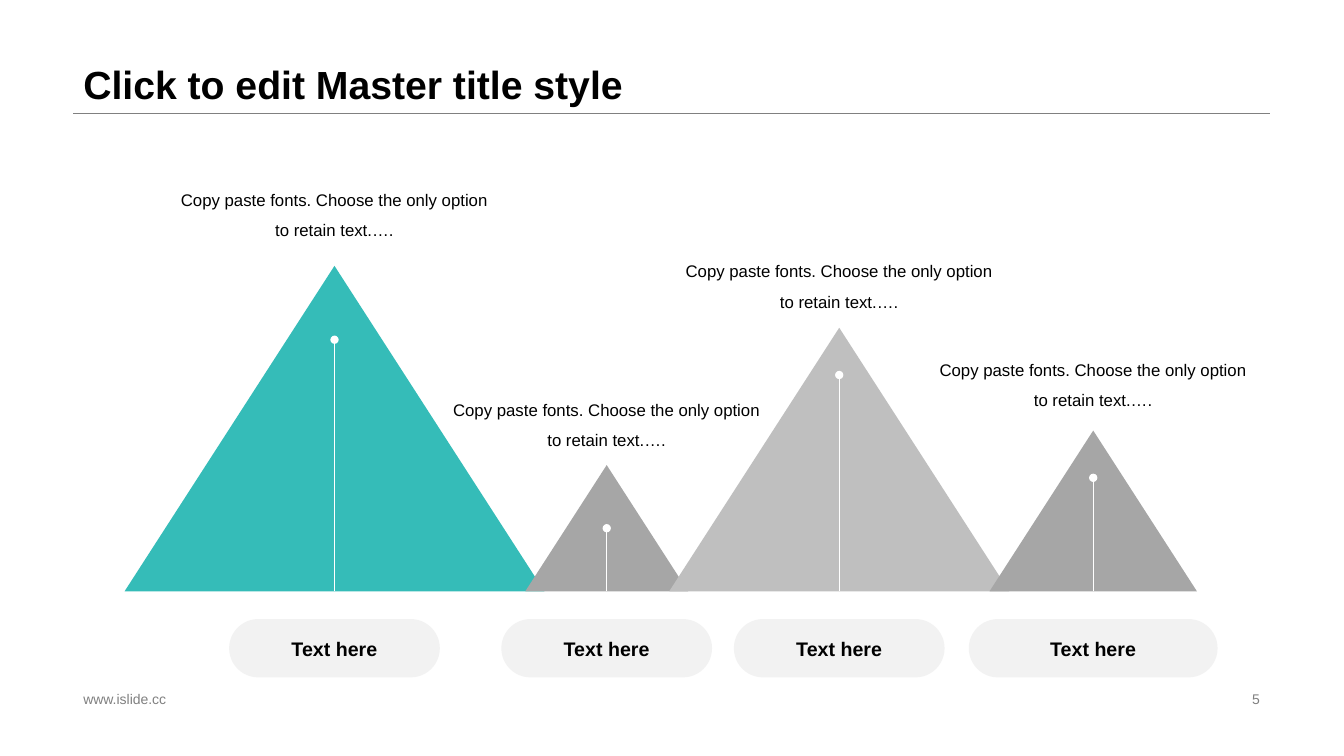
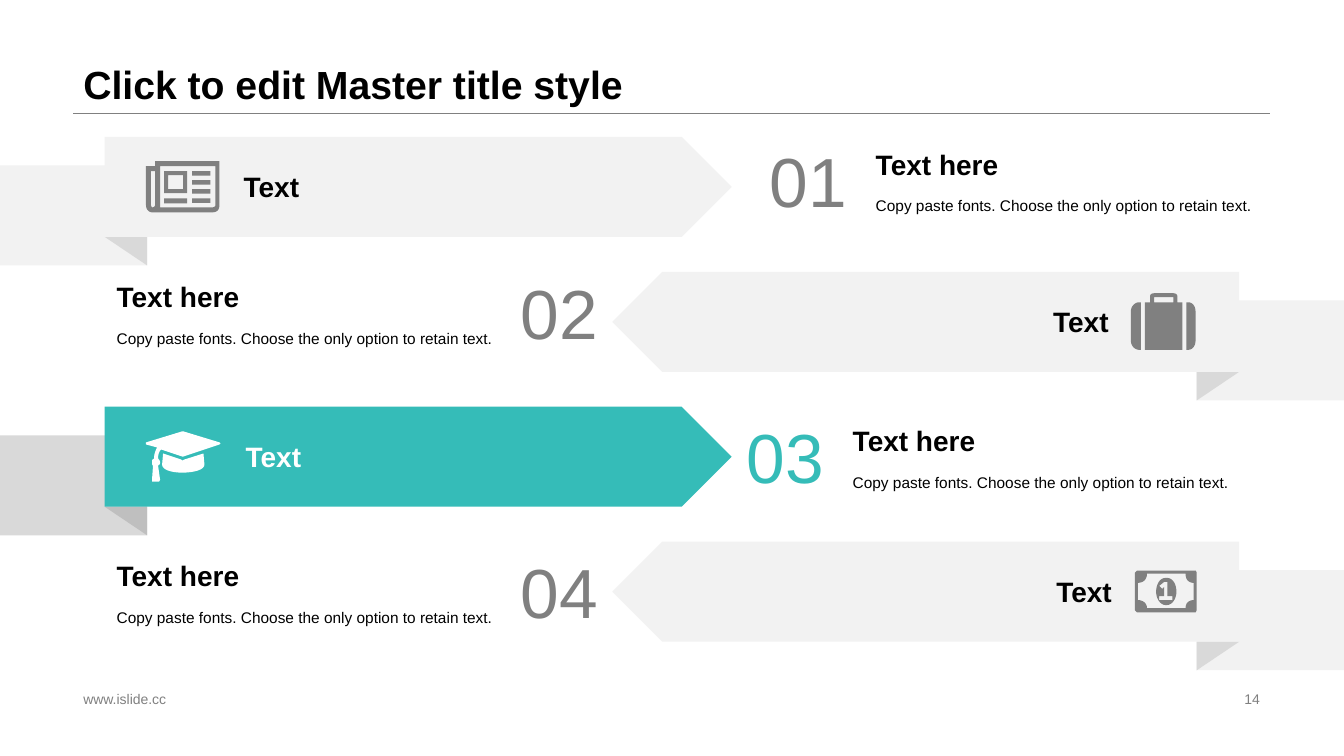
"""Build two slides: a mountain comparison and a set of folded banners."""
from dataclasses import dataclass
from itertools import chain

from lxml.etree import SubElement
from pptx import Presentation
from pptx.dml.color import RGBColor
from pptx.enum.shapes import MSO_CONNECTOR, MSO_SHAPE
from pptx.enum.text import MSO_ANCHOR, PP_ALIGN
from pptx.oxml.ns import qn
from pptx.shapes.autoshape import Shape
from pptx.shapes.connector import Connector
from pptx.slide import Slide
from pptx.text.text import TextFrame
from pptx.util import Cm, Pt

Step = tuple[float, ...]
Contour = tuple[Step, ...]


@dataclass(frozen=True)
class Theme:
    font: str = "Arial"
    black: str = "000000"
    white: str = "FFFFFF"
    accent: str = "35BCB8"
    dark: str = "808080"
    medium: str = "A6A6A6"
    soft: str = "BFBFBF"
    fold: str = "D9D9D9"
    pale: str = "F2F2F2"
    title_size: float = 28
    number_size: float = 49.6
    heading_size: float = 20
    pill_size: float = 14
    caption_size: float = 12
    body_size: float = 11
    footer_size: float = 10


@dataclass(frozen=True)
class Mountain:
    center: float
    height: float
    color: str
    marker_top: float
    caption_top: float
    pill_width: float = 5.31


@dataclass(frozen=True)
class Banner:
    number: str
    number_left: float
    number_top: float
    label_left: float
    icon: tuple[Contour, ...]
    icon_left: float
    icon_top: float
    icon_width: float
    mirrored: bool = False
    highlighted: bool = False


THEME = Theme()
SLIDE_WIDTH, SLIDE_HEIGHT = 33.87, 19.05
MARGIN, CONTENT_WIDTH = 1.85, 30.15
TITLE_BOTTOM = 2.84
GROUND = 14.9
MOUNTAIN_RATIO = 1.29


def rectangle(left: float, top: float, right: float, bottom: float) -> Contour:
    """Return the four corners of a rectangle."""
    return (left, top), (right, top), (right, bottom), (left, bottom)


NEWSPAPER = (
    ((73, 44), (73, 48, 71, 51, 66, 51), (6, 51), (3, 51, 0, 48, 0, 44),
     (0, 5), (9, 5), (9, 0), (73, 0)),
    ((9, 10), (5, 10), (5, 44), (5, 45, 6, 46, 6, 46), (8, 46, 9, 45, 9, 44)),
    ((69, 5), (14, 5), (14, 46), (66, 46), (68, 46, 69, 45, 69, 44)),
    rectangle(18, 10, 41, 32),
    rectangle(22, 14, 37, 28),
    rectangle(18, 37, 41, 42),
    *(rectangle(46, top, 64, top + 4.5) for top in (10, 19, 28, 37)),
)
SUITCASE = (
    ((10, 56), (8, 56), (4, 56, 0, 52, 0, 47), (0, 18), (0, 13, 4, 9, 8, 9), (10, 9)),
    ((51, 56), (14, 56), (14, 9), (19, 9), (19, 3), (19, 1, 21, 0, 23, 0),
     (42, 0), (44, 0, 46, 1, 46, 3), (46, 9), (51, 9)),
    rectangle(23, 4, 42, 9),
    ((64, 47), (64, 52, 61, 56, 57, 56), (55, 56), (55, 9), (57, 9),
     (61, 9, 64, 13, 64, 18)),
)
GRADUATION_CAP = (
    ((73, 13), (37, 25), (36, 25), (15, 18), (13, 20, 12, 23, 12, 27),
     (13, 28, 14, 29, 14, 31), (14, 33, 13, 33, 12, 34), (14, 48), (13, 50),
     (6, 50), (6, 48), (7, 34), (6, 33, 6, 33, 6, 31), (6, 29, 6, 28, 8, 27),
     (8, 23, 9, 20, 11, 16), (0, 13), (0, 11), (36, 0), (37, 0), (73, 11), (74, 12)),
    ((58, 33), (58, 38, 48, 41, 36, 41), (25, 41, 16, 38, 16, 33),
     (17, 22), (35, 28), (36, 29), (38, 28), (57, 22)),
)
BANKNOTE = (
    ((61, 39), (60, 41), (2, 41), (0, 39), (0, 2), (2, 0), (60, 0), (61, 2)),
    ((58, 12), (53, 12, 50, 9, 50, 3), (12, 3), (12, 9, 8, 12, 3, 12),
     (3, 29), (8, 29, 12, 32, 12, 37), (50, 37), (50, 32, 53, 29, 58, 29)),
    ((31, 34), (24, 34, 21, 26, 21, 21), (21, 14, 24, 7, 31, 7),
     (38, 7, 41, 14, 41, 21), (41, 26, 38, 34, 31, 34)),
    ((37, 29), (37, 25), (32, 25), (32, 11), (29, 11), (24, 15), (27, 18),
     (29, 16), (29, 25), (24, 25), (24, 29)),
)

MOUNTAINS = (
    Mountain(8.43, 8.2, THEME.accent, 8.56, 4.39),
    Mountain(15.29, 3.18, THEME.medium, 13.31, 9.7),
    Mountain(21.15, 6.64, THEME.soft, 9.45, 6.2),
    Mountain(27.55, 4.05, THEME.medium, 12.04, 8.69, pill_width=6.27),
)
BANNERS = (
    Banner("01", 19.15, 3.1, 5.89, NEWSPAPER, 3.68, 4.06, 1.85),
    Banner("02", 12.88, 6.43, 21.74, SUITCASE, 28.5, 7.39, 1.63, mirrored=True),
    Banner("03", 18.57, 10.06, 5.94, GRADUATION_CAP, 3.68, 10.87, 1.88, highlighted=True),
    Banner("04", 12.88, 13.46, 21.82, BANKNOTE, 28.6, 14.38, 1.56, mirrored=True),
)


def write_text(frame: TextFrame, text: str, *, size: float, color: str = THEME.black,
               bold: bool = False, align: PP_ALIGN = PP_ALIGN.LEFT,
               anchor: MSO_ANCHOR = MSO_ANCHOR.TOP, spacing: float = 1.0) -> None:
    """Write one formatted paragraph into a text frame."""
    frame.word_wrap = True
    frame.vertical_anchor = anchor
    para = frame.paragraphs[0]
    para.alignment = align
    para.line_spacing = spacing
    span = para.add_run()
    span.text = text
    span.font.name = THEME.font
    span.font.size = Pt(size)
    span.font.bold = bold
    span.font.color.rgb = RGBColor.from_string(color)


def add_text(page: Slide, text: str, left: float, top: float, width: float,
             height: float, **text_format) -> None:
    """Add a text box holding one formatted paragraph."""
    box = page.shapes.add_textbox(Cm(left), Cm(top), Cm(width), Cm(height))
    write_text(box.text_frame, text, **text_format)


def paint(shape: Shape, color: str) -> None:
    """Give a shape a flat fill without line or shadow."""
    shape.shadow.inherit = False
    shape.fill.solid()
    shape.fill.fore_color.rgb = RGBColor.from_string(color)
    shape.line.fill.background()


def add_block(page: Slide, kind: MSO_SHAPE, left: float, top: float, width: float,
              height: float, color: str) -> Shape:
    """Add a flat preset shape."""
    shape = page.shapes.add_shape(kind, Cm(left), Cm(top), Cm(width), Cm(height))
    paint(shape, color)
    return shape


def add_line(page: Slide, start: tuple[float, float], end: tuple[float, float],
             color: str, width: float) -> Connector:
    """Add a straight line without shadow."""
    line = page.shapes.add_connector(
        MSO_CONNECTOR.STRAIGHT, *(Cm(length) for length in (*start, *end)))
    line.line.color.rgb = RGBColor.from_string(color)
    line.line.width = Pt(width)
    SubElement(line.element.spPr, qn("a:effectLst"))
    return line


def flatten(contour: Contour, pieces: int = 8) -> list[tuple[float, float]]:
    """Turn points and cubic curves into a list of points."""
    points: list[tuple[float, float]] = []
    for step in contour:
        if len(step) == 2:
            points.append((step[0], step[1]))
            continue
        controls = (points[-1], step[:2], step[2:4], step[4:])
        for piece in range(1, pieces + 1):
            t = piece / pieces
            weights = ((1 - t) ** 3, 3 * t * (1 - t) ** 2, 3 * t * t * (1 - t), t ** 3)
            x, y = (sum(weight * point[axis] for weight, point in zip(weights, controls))
                    for axis in (0, 1))
            points.append((x, y))
    return points


def add_icon(page: Slide, icon: tuple[Contour, ...], left: float, top: float,
             width: float, color: str) -> None:
    """Draw an icon from its contours at the given width."""
    outlines = [flatten(contour) for contour in icon]
    scale = width / max(x for x, _ in chain.from_iterable(outlines))
    placed = [[(Cm(left + x * scale), Cm(top + y * scale)) for x, y in outline]
              for outline in outlines]
    builder = page.shapes.build_freeform(*placed[0][0])
    for index, outline in enumerate(placed):
        if index:
            builder.move_to(*outline[0])
        builder.add_line_segments(outline[1:], close=True)
    paint(builder.convert_to_shape(), color)


def add_page(deck: Presentation, number: int) -> Slide:
    """Add a blank page with the shared title, rule and footer."""
    page = deck.slides.add_slide(deck.slide_layouts[6])
    right = MARGIN + CONTENT_WIDTH
    add_line(page, (MARGIN, TITLE_BOTTOM), (right, TITLE_BOTTOM), THEME.dark, 0.25)
    add_text(page, "Click to edit Master title style", MARGIN, 0, CONTENT_WIDTH,
             TITLE_BOTTOM, size=THEME.title_size, bold=True,
             anchor=MSO_ANCHOR.BOTTOM, spacing=0.9)
    footer = dict(size=THEME.footer_size, color=THEME.dark, anchor=MSO_ANCHOR.MIDDLE)
    add_text(page, "www.islide.cc", MARGIN, 17.32, 11.5, 0.58, **footer)
    add_text(page, str(number), right - 8.08, 17.32, 8.08, 0.58,
             align=PP_ALIGN.RIGHT, **footer)
    return page


def draw_mountains(page: Slide) -> None:
    """Draw the mountains, then their markers, pills and captions."""
    for mountain in MOUNTAINS:
        width = mountain.height * MOUNTAIN_RATIO
        add_block(page, MSO_SHAPE.ISOSCELES_TRIANGLE, mountain.center - width / 2,
                  GROUND - mountain.height, width, mountain.height, mountain.color)
    for mountain in MOUNTAINS:
        marker = add_line(page, (mountain.center, mountain.marker_top),
                          (mountain.center, GROUND), THEME.white, 0.5)
        SubElement(marker.line._get_or_add_ln(), qn("a:headEnd"), type="oval")
        pill = add_block(page, MSO_SHAPE.ROUNDED_RECTANGLE,
                         mountain.center - mountain.pill_width / 2, 15.6,
                         mountain.pill_width, 1.47, THEME.pale)
        pill.adjustments[0] = 0.5
        write_text(pill.text_frame, "Text here", size=THEME.pill_size, bold=True,
                   align=PP_ALIGN.CENTER, anchor=MSO_ANCHOR.MIDDLE)
        add_text(page, "Copy paste fonts. Choose the only option to retain text.….",
                 mountain.center - 8.69 / 2, mountain.caption_top, 8.69, 1.73,
                 size=THEME.caption_size, align=PP_ALIGN.CENTER, spacing=1.5)


def draw_banner(page: Slide, banner: Banner, top: float) -> None:
    """Draw one folded banner with its icon, label, number and text."""
    plate_left, plate_width, height = 2.64, 15.8, 2.52
    tail_width, drop = 3.71, 0.72
    fold_width = tail_width - plate_left
    lit = banner.highlighted

    def place(left: float, width: float) -> float:
        return SLIDE_WIDTH - left - width if banner.mirrored else left

    add_block(page, MSO_SHAPE.RECTANGLE, place(0, tail_width), top + drop, tail_width,
              height, THEME.fold if lit else THEME.pale)
    fold = add_block(page, MSO_SHAPE.RIGHT_TRIANGLE, place(plate_left, fold_width),
                     top + height, fold_width, drop, THEME.soft if lit else THEME.fold)
    fold.rotation = 180
    plate = add_block(page, MSO_SHAPE.PENTAGON, place(plate_left, plate_width), top,
                      plate_width, height, THEME.accent if lit else THEME.pale)
    if banner.mirrored:
        fold.element.spPr.get_or_add_xfrm().set("flipH", "1")
        plate.rotation = 180

    add_icon(page, banner.icon, banner.icon_left, banner.icon_top, banner.icon_width,
             THEME.white if lit else THEME.dark)
    heading = dict(size=THEME.heading_size, bold=True, anchor=MSO_ANCHOR.BOTTOM)
    add_text(page, "Text", banner.label_left, top + drop, 6.45, 1.07,
             color=THEME.white if lit else THEME.black,
             align=PP_ALIGN.RIGHT if banner.mirrored else PP_ALIGN.LEFT, **heading)
    add_text(page, banner.number, banner.number_left, banner.number_top, 2.54, 2.84,
             size=THEME.number_size, color=THEME.accent if lit else THEME.dark,
             anchor=MSO_ANCHOR.MIDDLE)
    text_left = banner.number_left + (-10.19 if banner.mirrored else 2.67)
    add_text(page, "Text here", text_left, banner.number_top + 0.51, 10.19, 1.07, **heading)
    add_text(page, "Copy paste fonts. Choose the only option to retain text.",
             text_left, banner.number_top + 1.59, 10.19, 1.07,
             size=THEME.body_size, spacing=1.3)


def main() -> None:
    """Build and save the deck."""
    deck = Presentation()
    deck.slide_width, deck.slide_height = Cm(SLIDE_WIDTH), Cm(SLIDE_HEIGHT)
    draw_mountains(add_page(deck, 5))
    banner_page = add_page(deck, 14)
    for row, banner in enumerate(BANNERS):
        draw_banner(banner_page, banner, 3.45 + 3.4 * row)
    deck.save("out.pptx")


if __name__ == "__main__":
    main()
